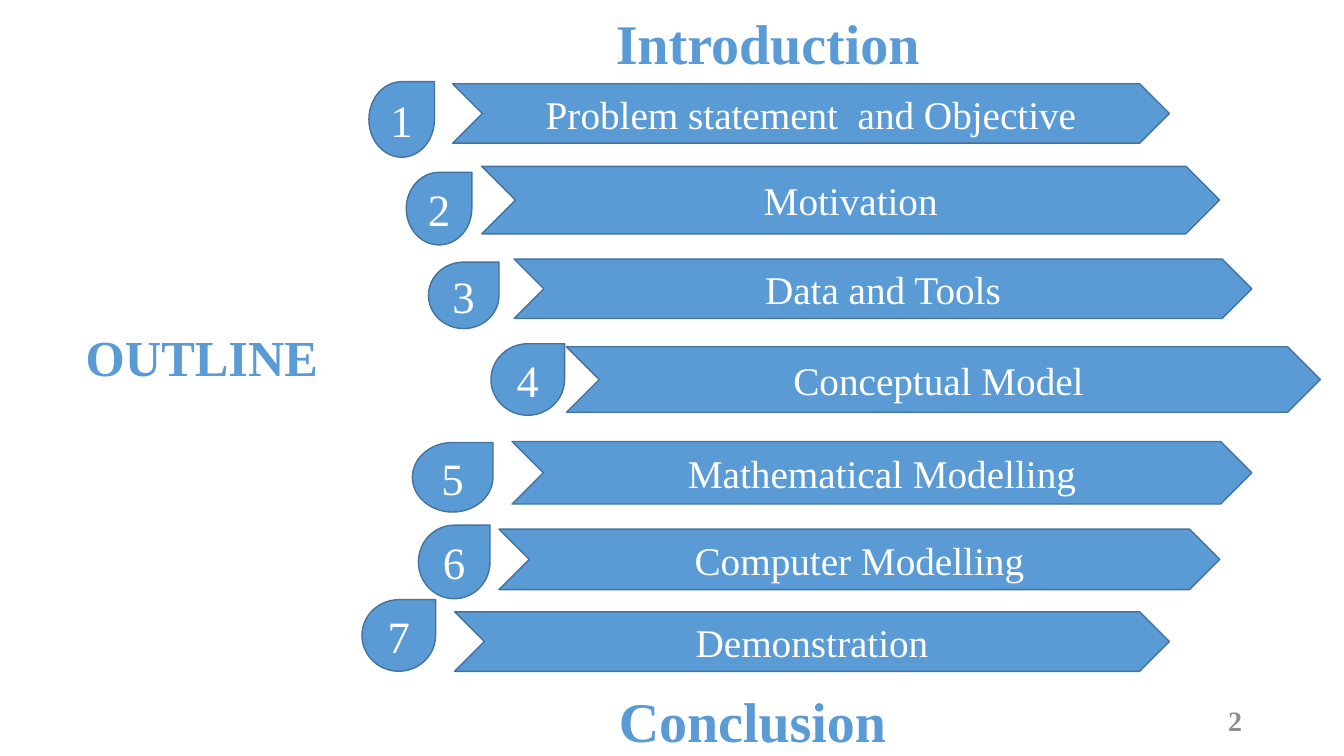
from dataclasses import dataclass

from pptx import Presentation, util as u
from pptx.dml.color import RGBColor
from pptx.enum import shapes, text

WIDTH, HEIGHT = u.Inches(13.33), u.Inches(7.5)
FONT = "Times New Roman"
COLORS = {"blue": "5B9BD5", "edge": "43739E", "white": "FFFFFF", "grey": "8C8C8C"}
LEFT, CENTER, RIGHT = text.PP_ALIGN.LEFT, text.PP_ALIGN.CENTER, text.PP_ALIGN.RIGHT
TOP, MIDDLE = text.MSO_ANCHOR.TOP, text.MSO_ANCHOR.MIDDLE


@dataclass
class Box:
    """Left, top, width and height in percent of the slide."""
    x: float
    y: float
    w: float
    h: float

    def emu(self) -> list[int]:
        shares = ((self.x, WIDTH), (self.y, HEIGHT), (self.w, WIDTH), (self.h, HEIGHT))
        return [round(share / 100 * side) for share, side in shares]


@dataclass
class Topic:
    label: str
    drop: Box
    arrow: Box


@dataclass
class Caption:
    label: str
    box: Box
    size: int
    color: str = "blue"
    align: text.PP_ALIGN = CENTER
    anchor: text.MSO_ANCHOR = TOP


OUTLINE = Caption("OUTLINE", Box(5.63, 42.53, 19.28, 9.47), 36, align=LEFT)
CAPTIONS = [
    Caption("Introduction", Box(42.15, 0.53, 29.93, 10.27), 40),
    Caption("Conclusion", Box(42.15, 90.13, 27.68, 10.27), 40),
    Caption("2", Box(70.65, 92.67, 22.5, 5.33), 20, "grey", RIGHT, MIDDLE),
]
TOPICS = [
    Topic("Problem statement  and Objective",
          Box(27.45, 10.8, 4.88, 10), Box(33.68, 11.07, 53.33, 7.87)),
    Topic("Motivation",
          Box(30.23, 22.8, 4.88, 9.6), Box(35.85, 22, 54.9, 8.93)),
    Topic("Data and Tools",
          Box(31.88, 34.67, 5.25, 8.8), Box(38.25, 34.27, 54.9, 7.87)),
    Topic("Conceptual Model ",
          Box(36.53, 45.47, 5.48, 9.47), Box(42.15, 45.87, 56.1, 8.67)),
    Topic("Mathematical Modelling",
          Box(30.68, 58.53, 6, 9.2), Box(38.1, 58.4, 55.05, 8.27)),
    Topic("Computer Modelling",
          Box(31.13, 69.47, 5.33, 9.73), Box(37.13, 70, 53.63, 8)),
    Topic("Demonstration",
          Box(26.93, 79.33, 5.48, 9.47), Box(33.83, 80.93, 53.18, 7.87)),
]


def rgb(name: str) -> RGBColor:
    return RGBColor.from_string(COLORS[name])


def write(sp, label: str, size: int, color: str, align, anchor, bold: bool) -> None:
    tf = sp.text_frame
    tf.word_wrap = True
    tf.vertical_anchor = anchor
    p = tf.paragraphs[0]
    p.alignment = align
    r = p.add_run()
    r.text = label
    r.font.name, r.font.size, r.font.bold = FONT, u.Pt(size), bold
    r.font.color.rgb = rgb(color)


def write_caption(sp, c: Caption) -> None:
    write(sp, c.label, c.size, c.color, c.align, c.anchor, True)


def draw_shape(s, kind, box: Box, label: str, size: int) -> None:
    sp = s.shapes.add_shape(kind, *box.emu())
    sp.shadow.inherit = False
    sp.fill.solid()
    sp.fill.fore_color.rgb = rgb("blue")
    sp.line.color.rgb = rgb("edge")
    sp.line.width = u.Pt(1)
    write(sp, label, size, "white", CENTER, MIDDLE, False)


def main() -> None:
    prs = Presentation()
    prs.slide_width, prs.slide_height = WIDTH, HEIGHT
    s = prs.slides.add_slide(prs.slide_layouts[5])

    # Title
    title = s.shapes.title
    title.left, title.top, title.width, title.height = OUTLINE.box.emu()
    write_caption(title, OUTLINE)

    # First and last heading, page number
    for caption in CAPTIONS:
        write_caption(s.shapes.add_textbox(*caption.box.emu()), caption)

    # Numbered topics
    for number, topic in enumerate(TOPICS, 1):
        draw_shape(s, shapes.MSO_SHAPE.TEAR, topic.drop, str(number), 32)
        draw_shape(s, shapes.MSO_SHAPE.CHEVRON, topic.arrow, topic.label, 28)

    prs.save("out.pptx")


if __name__ == "__main__":
    main()
